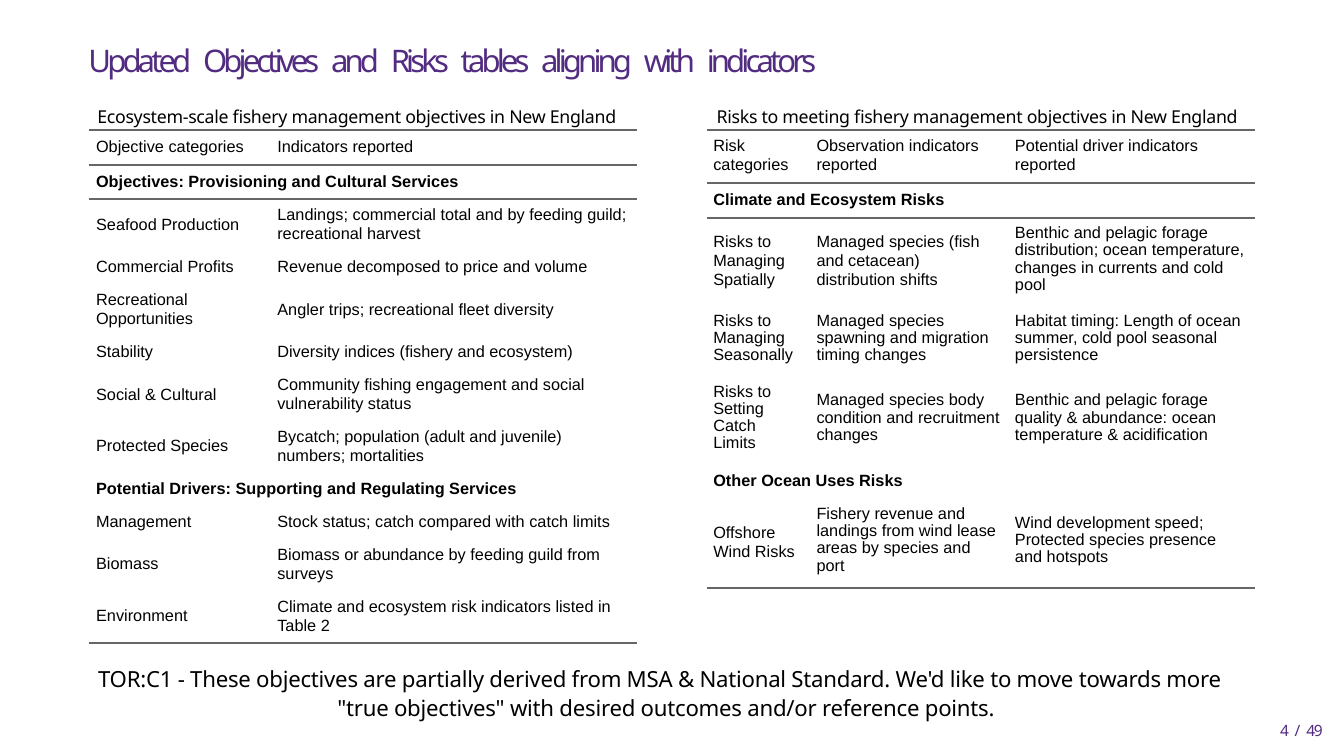
from dataclasses import dataclass

from pptx import Presentation
from pptx.dml.color import RGBColor
from pptx.enum.text import MSO_ANCHOR
from pptx.oxml import parse_xml
from pptx.oxml.ns import nsdecls
from pptx.util import Cm, Pt


@dataclass(frozen=True)
class Theme:
    purple: str = "522C80"
    ink: str = "000000"
    rule: str = "666666"
    sans: str = "Noto Sans"
    table_font: str = "Arial"
    title: float = 21
    note: float = 15
    caption: float = 12
    table: float = 11
    number: float = 10.5


THEME = Theme()

OBJECTIVES = [
    ["Objective categories", "Indicators reported"],
    ["Objectives: Provisioning and Cultural Services"],
    ["Seafood Production", "Landings; commercial total and by feeding guild; recreational harvest"],
    ["Commercial Profits", "Revenue decomposed to price and volume"],
    ["Recreational Opportunities", "Angler trips; recreational fleet diversity"],
    ["Stability", "Diversity indices (fishery and ecosystem)"],
    ["Social & Cultural", "Community fishing engagement and social vulnerability status"],
    ["Protected Species", "Bycatch; population (adult and juvenile) numbers; mortalities"],
    ["Potential Drivers: Supporting and Regulating Services"],
    ["Management", "Stock status; catch compared with catch limits"],
    ["Biomass", "Biomass or abundance by feeding guild from surveys"],
    ["Environment", "Climate and ecosystem risk indicators listed in Table 2"],
]
OBJECTIVE_HEIGHTS = [0.84, 0.81, 1.24, 0.79, 1.24, 0.79, 1.22, 1.24, 0.79, 0.79, 1.24, 1.24]
OBJECTIVE_INSETS = {(7, 1): 0.7}

RISKS = [
    ["Risk categories", "Observation indicators reported", "Potential driver indicators reported"],
    ["Climate and Ecosystem Risks"],
    ["Risks to Managing Spatially",
     "Managed species (fish and cetacean) distribution shifts",
     "Benthic and pelagic forage distribution; ocean temperature, "
     "changes in currents and cold pool"],
    ["Risks to Managing Seasonally",
     "Managed species spawning and migration timing changes",
     "Habitat timing: Length of ocean summer, cold pool seasonal persistence"],
    ["Risks to Setting Catch Limits",
     "Managed species body condition and recruitment changes",
     "Benthic and pelagic forage quality & abundance: ocean temperature & acidification"],
    ["Other Ocean Uses Risks"],
    ["Offshore Wind Risks",
     "Fishery revenue and landings from wind lease areas by species and port",
     "Wind development speed; Protected species presence and hotspots"],
]
RISK_HEIGHTS = [1.26, 0.83, 2.11, 1.67, 2.11, 0.79, 2.15]
RISK_INSETS = {(0, 2): 0.7, (2, 1): 0.5, (2, 2): 0.1, (3, 1): 0.1,
               (4, 0): 0.38, (6, 1): 0.2, (6, 2): 0.38}
RISK_TIGHT = {(2, 2), (3, 0), (3, 1), (3, 2), (4, 0), (4, 1), (4, 2), (6, 1), (6, 2)}


def style(para, font, size, color, bold=False):
    para.font.name = font
    para.font.size = Pt(size)
    para.font.bold = bold
    para.font.color.rgb = RGBColor.from_string(color)


def add_span(para, text, tracking):
    span = para.add_run()
    span.text = text
    span.font._element.set("spc", str(round(tracking * 100)))


def add_text(page, text, frame, size, color, tracking,
             gap=None, tab=None, hanging=None, spacing=None):
    box = page.shapes.add_textbox(*(Cm(length) for length in frame))
    body = box.text_frame
    body.word_wrap = True
    body.margin_left = body.margin_top = Cm(0.03)
    body.margin_right = body.margin_bottom = 0
    para = body.paragraphs[0]
    if gap is None:
        add_span(para, text, tracking)
    else:
        for index, word in enumerate(text.split()):
            if index:
                add_span(para, " ", gap)
            add_span(para, word, tracking)
    properties = para._p.get_or_add_pPr()
    if tab:
        properties.append(parse_xml(
            f'<a:tabLst {nsdecls("a")}><a:tab pos="{Cm(tab)}" algn="l"/></a:tabLst>'))
    if hanging:
        properties.set("marL", str(Cm(hanging)))
        properties.set("indent", str(-Cm(hanging)))
    if spacing:
        para.line_spacing = spacing
    style(para, THEME.sans, size, color)


def draw_borders(cell, top, bottom):
    properties = cell._tc.get_or_add_tcPr()
    sides = [("L", False), ("R", False), ("T", top), ("B", bottom)]
    for index, (side, ruled) in enumerate(sides):
        paint = (f'<a:solidFill><a:srgbClr val="{THEME.rule}"/></a:solidFill>'
                 if ruled else "<a:noFill/>")
        properties.insert(index, parse_xml(
            f'<a:ln{side} {nsdecls("a")} w="{Pt(1.5)}">{paint}</a:ln{side}>'))


def fill_cell(cell, text, left, right, tight, bold):
    cell.text = text
    cell.vertical_anchor = MSO_ANCHOR.MIDDLE
    cell.margin_left, cell.margin_right = Cm(left), Cm(right)
    cell.margin_top, cell.margin_bottom = 0, Cm(0.12 if tight else 0.05)
    para = cell.text_frame.paragraphs[0]
    para.line_spacing = 0.94 if tight else Pt(12.8)
    style(para, THEME.table_font, THEME.table, THEME.ink, bold)


def add_ruled_table(page, left, rows, widths, heights, indents, insets, tight=frozenset()):
    frame = page.shapes.add_table(len(rows), len(widths), Cm(left), Cm(3.1),
                                  Cm(sum(widths)), Cm(sum(heights)))
    table = frame.table
    table.first_row = table.horz_banding = False
    for column, width in zip(table.columns, widths):
        column.width = Cm(width)
    rules = {0, 1, 2, len(rows)}
    for r, texts in enumerate(rows):
        table.rows[r].height = Cm(heights[r])
        section = len(texts) == 1
        padded = texts + [""] * (len(widths) - len(texts))
        for c, text in enumerate(padded):
            cell = table.cell(r, c)
            fill_cell(cell, text, indents[c], insets.get((r, c), 0), (r, c) in tight, section)
            cell.fill.background()
            draw_borders(cell, r in rules, r + 1 in rules)
        if section:
            table.cell(r, 0).merge(table.cell(r, len(widths) - 1))


def main():
    deck = Presentation()
    deck.slide_width = Pt(908)
    deck.slide_height = Pt(511)
    page = deck.slides.add_slide(deck.slide_layouts[6])

    add_text(page, "4 / 49", (30.48, 17.17, 1.2, 0.58), THEME.number, THEME.purple,
             -0.8, gap=1.2)
    add_ruled_table(page, 2.11, OBJECTIVES, [4.09, 8.99], OBJECTIVE_HEIGHTS,
                    [0.18, 0.41], OBJECTIVE_INSETS)
    add_text(page,
             "Ecosystem-scale fishery management objectives in New England\t"
             "Risks to meeting fishery management objectives in New England",
             (2.29, 2.49, 27.46, 0.58), THEME.caption, THEME.ink, -0.21, tab=14.76)
    add_ruled_table(page, 16.85, RISKS, [2.36, 4.8, 5.89], RISK_HEIGHTS,
                    [0.15, 0.25, 0.18], RISK_INSETS, RISK_TIGHT)
    add_text(page, "Updated Objectives and Risks tables aligning with indicators",
             (2.08, 0.97, 22.43, 0.97), THEME.title, THEME.purple, -2.63, gap=2.5)
    add_text(page,
             "TOR:C1 - These objectives are partially derived from MSA & National Standard. "
             "We'd like to move towards more \"true objectives\" with desired outcomes "
             "and/or reference points.",
             (2.31, 15.75, 27.38, 1.5), THEME.note, THEME.ink, -0.18,
             hanging=5.7, spacing=1.12)

    deck.save("out.pptx")


if __name__ == "__main__":
    main()
